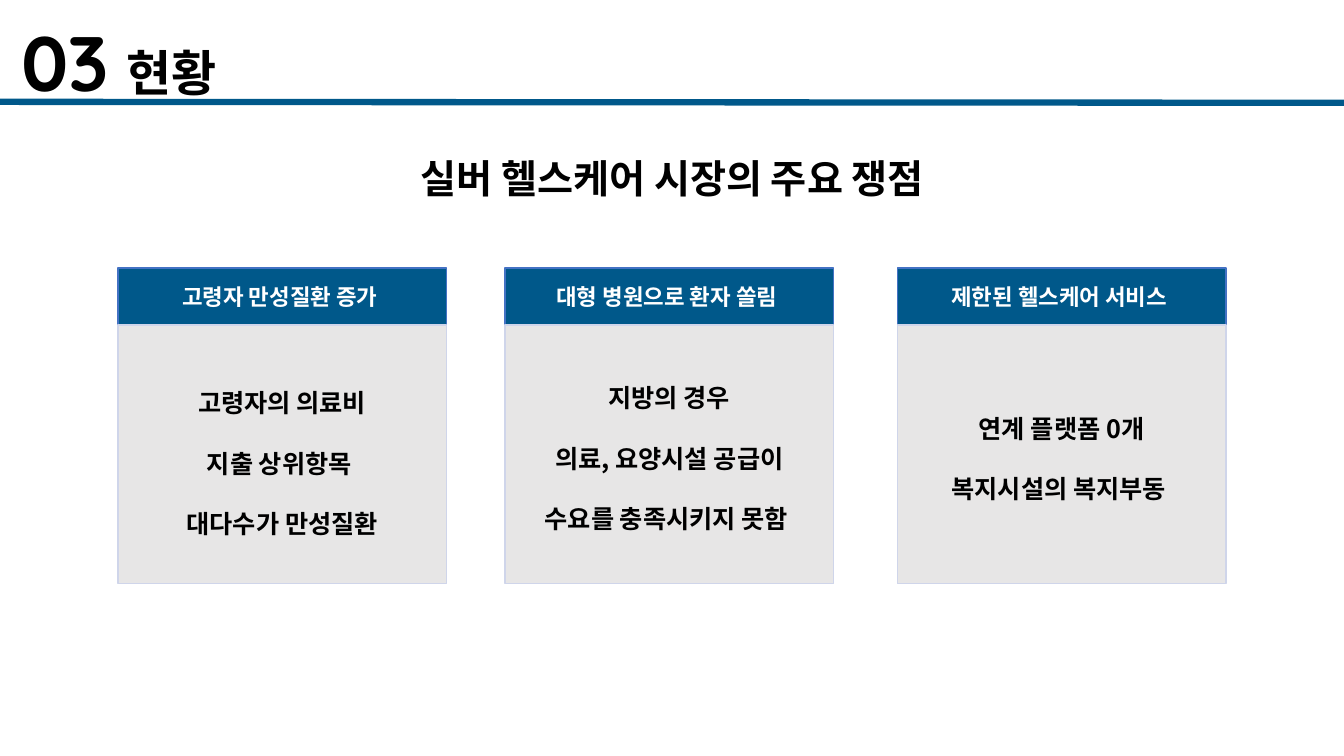
from lxml.etree import SubElement
from pptx import Presentation
from pptx.dml.color import RGBColor
from pptx.enum.shapes import MSO_CONNECTOR, MSO_SHAPE
from pptx.enum.text import MSO_ANCHOR, PP_ALIGN
from pptx.oxml.ns import qn
from pptx.util import Inches, Pt

NAVY = RGBColor(0x00, 0x58, 0x8A)
BLUE = RGBColor(0x44, 0x72, 0xC4)
GRAY = RGBColor(0xE7, 0xE6, 0xE6)
PALE = RGBColor(0xCF, 0xD5, 0xEA)
BLACK = RGBColor(0x00, 0x00, 0x00)
WHITE = RGBColor(0xFF, 0xFF, 0xFF)

HANGUL = "Noto Sans CJK KR"
LATIN = "Quicksand"

# left edge, top of text, heading, lines
CARDS = [
    (8.78, 45.87, "고령자 만성질환 증가 ",
     ["고령자의 의료비", "지출 상위항목 ", "대다수가 만성질환"]),
    (37.58, 45.2, "대형 병원으로 환자 쏠림 ",
     ["지방의 경우", "의료, 요양시설 공급이", "수요를 충족시키지 못함 "]),
    (66.77, 45.2, "제한된 헬스케어 서비스 ",
     ["연계 플랫폼 0개", "복지시설의 복지부동 "]),
]
WIDE = 24.46
HEAD_TOP, BODY_TOP, BODY_END = 35.47, 43, 77.2


class Deck:
    """Draws on one slide; lengths are percent of its width and height."""

    def __init__(self):
        self.prs = Presentation()
        self.prs.slide_width = Inches(13.33)
        self.prs.slide_height = Inches(7.5)
        self.slide = self.prs.slides.add_slide(self.prs.slide_layouts[6])

    def across(self, share):
        return round(self.prs.slide_width * share / 100)

    def down(self, share):
        return round(self.prs.slide_height * share / 100)

    def place(self, x, y, w, h):
        return self.across(x), self.down(y), self.across(w), self.down(h)

    def style(self, run, size, color=BLACK, face=HANGUL):
        font = run.font
        font.size, font.bold, font.name = Pt(size), True, face
        font.color.rgb = color
        SubElement(font._element, qn("a:ea")).set("typeface", HANGUL)

    def rule(self, y, end, color, width):
        line = self.slide.shapes.add_connector(
            MSO_CONNECTOR.STRAIGHT, 0, self.down(y),
            self.across(100), self.down(end))
        line.line.color.rgb = color
        line.line.width = Pt(width)
        SubElement(line._element.spPr, qn("a:effectLst"))

    def rect(self, area, fill, edge):
        shape = self.slide.shapes.add_shape(
            MSO_SHAPE.RECTANGLE, *self.place(*area))
        shape.shadow.inherit = False
        shape.fill.solid()
        shape.fill.fore_color.rgb = fill
        shape.line.color.rgb = edge
        shape.line.width = Pt(1)
        return shape

    def box(self, area):
        shape = self.slide.shapes.add_textbox(*self.place(*area))
        shape.text_frame.word_wrap = True
        return shape

    def label(self, shape, lines, size, color=BLACK, face=HANGUL, space=1):
        frame = shape.text_frame
        frame.vertical_anchor = MSO_ANCHOR.MIDDLE
        frame.text = "\n".join(lines)
        for para in frame.paragraphs:
            para.alignment = PP_ALIGN.CENTER
            para.line_spacing = space
            for run in para.runs:
                self.style(run, size, color, face)

    def title(self, area, parts):
        """Put runs of several sizes on one line."""
        frame = self.box(area).text_frame
        frame.vertical_anchor = MSO_ANCHOR.MIDDLE
        frame.margin_left = frame.margin_right = Inches(0.13)
        for text, size in parts:
            run = frame.paragraphs[0].add_run()
            run.text = text
            self.style(run, size, face=LATIN)

    def card(self, x, top, head, lines):
        band = self.rect((x, HEAD_TOP, WIDE, BODY_TOP - HEAD_TOP), NAVY, BLUE)
        self.label(band, [head], 16, WHITE)
        self.rect((x, BODY_TOP, WIDE, BODY_END - BODY_TOP), GRAY, PALE)
        self.label(self.box((x + 0.85, top, 22.73, 26.8)), lines, 18, space=2)


def main():
    deck = Deck()
    deck.rule(13.47, 13.6, NAVY, 4.5)
    deck.title((0.6, 2.67, 73.2, 10.8), [("03", 55), (" ", 46.7), ("현황", 35)])
    for card in CARDS:
        deck.card(*card)
    deck.label(deck.box((8.78, 18.13, 82.45, 10.8)),
               ["실버 헬스케어 시장의 주요 쟁점"], 28, face=LATIN)
    deck.prs.save("out.pptx")


if __name__ == "__main__":
    main()
